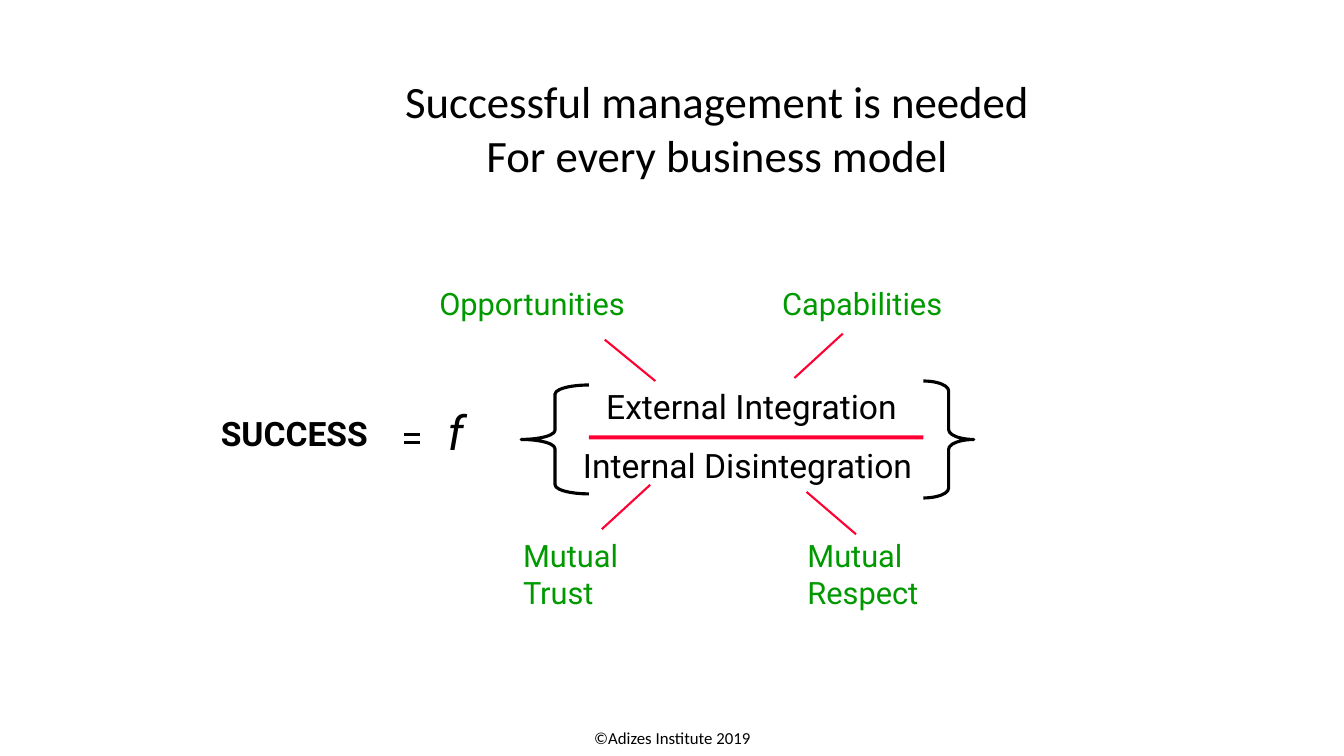
from pptx import Presentation
from pptx.dml.color import RGBColor
from pptx.enum.shapes import MSO_CONNECTOR, MSO_SHAPE
from pptx.enum.text import MSO_ANCHOR, MSO_AUTO_SIZE, PP_ALIGN
from pptx.oxml.ns import qn
from pptx.util import Inches, Pt
from lxml import etree

BLACK = RGBColor(0x00, 0x00, 0x00)
GREEN = RGBColor(0x00, 0x99, 0x00)
RED = RGBColor(0xFF, 0x00, 0x33)

LEFT, CENTER = PP_ALIGN.LEFT, PP_ALIGN.CENTER
TOP, MIDDLE = MSO_ANCHOR.TOP, MSO_ANCHOR.MIDDLE
STRAIGHT = MSO_CONNECTOR.STRAIGHT
BAR, LEFT_BRACE, RIGHT_BRACE = MSO_SHAPE.RECTANGLE, MSO_SHAPE.LEFT_BRACE, MSO_SHAPE.RIGHT_BRACE

SLIDE_WIDTH, SLIDE_HEIGHT = Inches(13.33), Inches(7.5)
LABEL_HEIGHT = 8.8
UPPER_ROW, LOWER_ROW = 35.73, 71.47
BRACE_LINE = 2.25

# Every place and length below is a percentage of the slide's width or height.
FACTORS = [
    ("Opportunities", 31.95, UPPER_ROW, 18.08),
    ("Capabilities", 57.46, UPPER_ROW, 18.08),
    ("Mutual Trust", 38.18, LOWER_ROW, 11.85),
    ("Mutual Respect", 59.34, LOWER_ROW, 16.2),
]
FACTOR_LINKS = [
    (45, 44.93, 48.76, 50.4),
    (62.71, 44.13, 59.11, 50),
    (60.01, 65.07, 63.69, 70.67),
    (48.38, 64.13, 44.78, 70),
]
FRACTION = [
    ("External Integration", 41.93, 49.33, 27.98),
    ("Internal Disintegration", 42.53, 57.07, 26.18),
]
BRACES = [
    (LEFT_BRACE, (38.78, 50.93, 5.03, 14.4), 0.135),
    (RIGHT_BRACE, (68.71, 50.4, 3.75, 15.47), 0.195),
]


def across(share):
    return round(SLIDE_WIDTH * share / 100)


def down(share):
    return round(SLIDE_HEIGHT * share / 100)


def place(left, top, width, height):
    return across(left), down(top), across(width), down(height)


def add_text(slide, lines, area, size, color=BLACK, font="Roboto", aligns=(LEFT,),
             anchor=MIDDLE, bold=False, italic=False):
    """Add a wrapping text box with one paragraph for each line and alignment."""
    frame = slide.shapes.add_textbox(*place(*area)).text_frame
    frame.word_wrap = True
    frame.vertical_anchor = anchor
    frame.text = "\n".join(lines)
    for paragraph, align in zip(frame.paragraphs, aligns):
        paragraph.alignment = align
        paragraph.font.name = font
        paragraph.font.size = Pt(size)
        paragraph.font.color.rgb = color
        paragraph.font.bold = bold
        paragraph.font.italic = italic
    return frame


def add_line(slide, ends, color, weight):
    x1, y1, x2, y2 = ends
    line = slide.shapes.add_connector(STRAIGHT, across(x1), down(y1), across(x2), down(y2))
    line.line.color.rgb = color
    line.line.width = Pt(weight)
    etree.SubElement(line._element.spPr, qn("a:effectLst"))


def add_brace(slide, kind, area, curve):
    brace = slide.shapes.add_shape(kind, *place(*area))
    brace.shadow.inherit = False
    brace.adjustments[0] = curve
    brace.fill.background()
    brace.line.color.rgb = BLACK
    brace.line.width = Pt(BRACE_LINE)


def add_fraction_bar(slide, area):
    bar = slide.shapes.add_shape(BAR, *place(*area))
    bar.shadow.inherit = False
    bar.fill.solid()
    bar.fill.fore_color.rgb = RED
    bar.line.fill.background()


def add_title(slide):
    title = add_text(slide, ["Successful management is needed", "For every business model"],
                     (29.4, 9.07, 52.5, 15.73), 32, font="Calibri",
                     aligns=(LEFT, CENTER), anchor=TOP)
    title.word_wrap = False
    title.auto_size = MSO_AUTO_SIZE.SHAPE_TO_FIT_TEXT


def add_success_function(slide):
    """Add the left side of the formula: SUCCESS = f."""
    success = add_text(slide, ["SUCCESS"], (16.43, 54.8, 13.05, 5.47), 24, bold=True)
    success.margin_left = success.margin_right = 0
    success.margin_top = success.margin_bottom = 0
    success.paragraphs[0].line_spacing = 0.93
    for stroke in (57.47, 58.53):
        add_line(slide, (30.08, stroke, 31.28, stroke), BLACK, 2.25)
    add_text(slide, ["f"], (32.56, 52.67, 4.35, 8.93), 34, anchor=TOP, italic=True)


def main():
    presentation = Presentation()
    presentation.slide_width, presentation.slide_height = SLIDE_WIDTH, SLIDE_HEIGHT
    slide = presentation.slides.add_slide(presentation.slide_layouts[6])

    add_title(slide)
    add_success_function(slide)
    add_fraction_bar(slide, (43.81, 57.6, 24.9, 0.53))
    for term, left, top, width in FRACTION:
        add_text(slide, [term], (left, top, width, LABEL_HEIGHT), 24, aligns=(CENTER,))
    for factor, left, top, width in FACTORS:
        add_text(slide, [factor], (left, top, width, LABEL_HEIGHT), 22, color=GREEN)
    for ends in FACTOR_LINKS:
        add_line(slide, ends, RED, 1.5)
    for kind, area, curve in BRACES:
        add_brace(slide, kind, area, curve)

    footer = add_text(slide, ["©Adizes Institute 2019"], (33.38, 95.73, 33.3, 4), 12,
                      font="Calibri", aligns=(CENTER,), anchor=TOP)
    footer.margin_top = Inches(0.06)
    footer.paragraphs[0].line_spacing = 0.93

    presentation.save("out.pptx")


if __name__ == "__main__":
    main()
